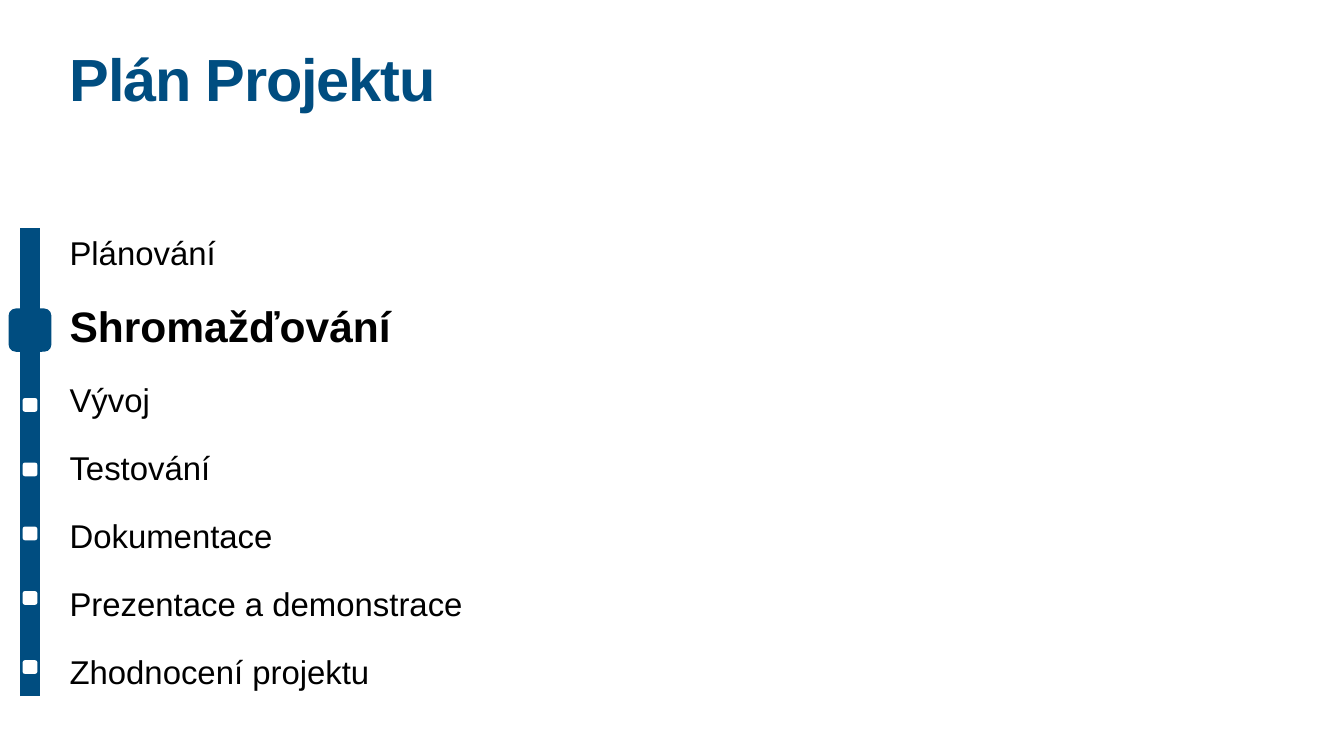
from dataclasses import dataclass

from lxml.etree import SubElement
from pptx import Presentation
from pptx.dml.color import RGBColor
from pptx.enum.shapes import MSO_CONNECTOR as Connector, MSO_SHAPE as Shape
from pptx.enum.text import MSO_ANCHOR as Anchor, MSO_AUTO_SIZE as AutoSize, PP_ALIGN as Align
from pptx.oxml.ns import qn
from pptx.util import Emu, Pt

BLUE = RGBColor(0x00, 0x4D, 0x80)
WHITE = RGBColor(0xFF, 0xFF, 0xFF)
BLACK = RGBColor(0x00, 0x00, 0x00)
FONT = "Arial"
EMU_PER_PX = 9144  # 100 px to the inch

PHASES = ["Plánování", "Shromažďování", "Vývoj", "Testování", "Dokumentace",
          "Prezentace a demonstrace", "Zhodnocení projektu"]
CURRENT_PHASE = "Shromažďování"
TIMELINE_X = 59


@dataclass(frozen=True)
class Marker:
    top: int
    width: int
    height: int
    color: RGBColor
    rounding: float


UPCOMING_TOPS = [790, 918, 1045, 1173, 1310]
MARKERS = [Marker(top, 29, 27, WHITE, 0.16) for top in UPCOMING_TOPS]
MARKERS.append(Marker(612, 85, 86, BLUE, 0.17))


def px(length: int) -> Emu:
    return Emu(length * EMU_PER_PX)


def place_text(placeholder, top: int, height: int) -> None:
    """Move a placeholder to the text column and set up its frame."""
    placeholder.left, placeholder.top = px(132), px(top)
    placeholder.width, placeholder.height = px(2403), px(height)
    frame = placeholder.text_frame
    frame.margin_left = frame.margin_right = px(6)
    frame.margin_top = frame.margin_bottom = px(6)
    frame.vertical_anchor = Anchor.TOP
    frame.auto_size = AutoSize.NONE
    frame.word_wrap = True


def format_paragraph(paragraph, size: float, color: RGBColor, bold: bool,
                     line_spacing: float, space_before: float) -> None:
    paragraph.alignment = Align.LEFT
    paragraph.line_spacing = line_spacing
    paragraph.space_before = Pt(space_before)
    for run in paragraph.runs:
        run.font.name = FONT
        run.font.size = Pt(size)
        run.font.bold = bold
        run.font.color.rgb = color


def remove_bullet(paragraph) -> None:
    properties = paragraph._p.get_or_add_pPr()
    properties.set("marL", "0")
    properties.set("indent", "0")
    SubElement(properties, qn("a:buNone"))


def add_timeline(slide, top: int, bottom: int) -> None:
    line = slide.shapes.add_connector(
        Connector.STRAIGHT, px(TIMELINE_X), px(bottom), px(TIMELINE_X), px(top))
    line.line.color.rgb = BLUE
    line.line.width = Pt(28)
    SubElement(line._element.spPr, qn("a:effectLst"))


def add_marker(slide, marker: Marker) -> None:
    left = TIMELINE_X - marker.width // 2
    shape = slide.shapes.add_shape(Shape.ROUNDED_RECTANGLE, px(left), px(marker.top),
                                   px(marker.width), px(marker.height))
    shape.adjustments[0] = marker.rounding
    shape.shadow.inherit = False
    shape.fill.solid()
    shape.fill.fore_color.rgb = marker.color
    shape.line.fill.background()


def main() -> None:
    presentation = Presentation()
    presentation.slide_width, presentation.slide_height = px(2667), px(1500)
    slide = presentation.slides.add_slide(presentation.slide_layouts[1])

    # Title
    title = slide.shapes.title
    place_text(title, 104, 157)
    title.text_frame.text = "Plán Projektu"
    heading = title.text_frame.paragraphs[0]
    format_paragraph(heading, 85, BLUE, True, 0.8, 0)
    heading.runs[0]._r.get_or_add_rPr().set("spc", "-170")

    # Project phases, with the current one emphasised
    body = slide.placeholders[1]
    place_text(body, 465, 903)
    body.text_frame.text = "\n".join(PHASES)
    for paragraph in body.text_frame.paragraphs:
        current = paragraph.text == CURRENT_PHASE
        format_paragraph(paragraph, 60.8 if current else 47, BLACK, current, 0.9, 46.4)
        remove_bullet(paragraph)

    # Timeline with its markers
    add_timeline(slide, 452, 1381)
    for marker in MARKERS:
        add_marker(slide, marker)

    presentation.save("out.pptx")


if __name__ == "__main__":
    main()
